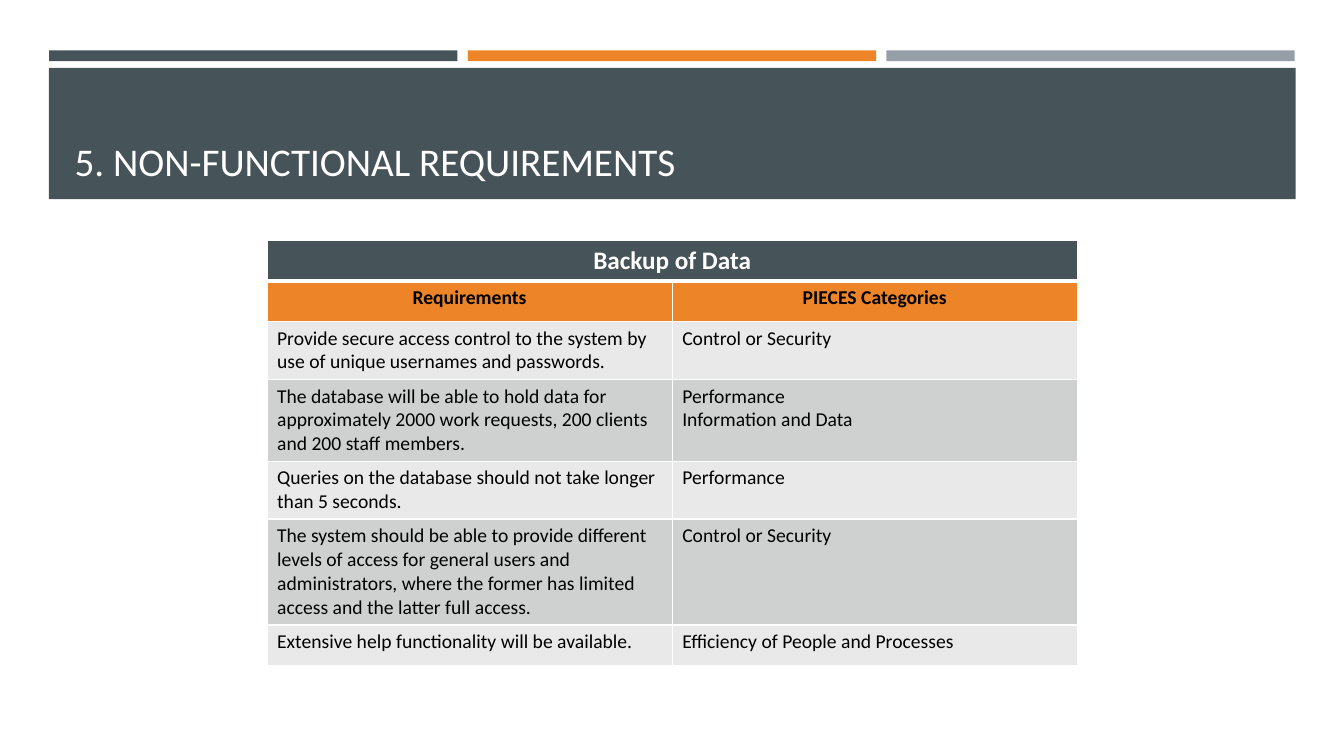
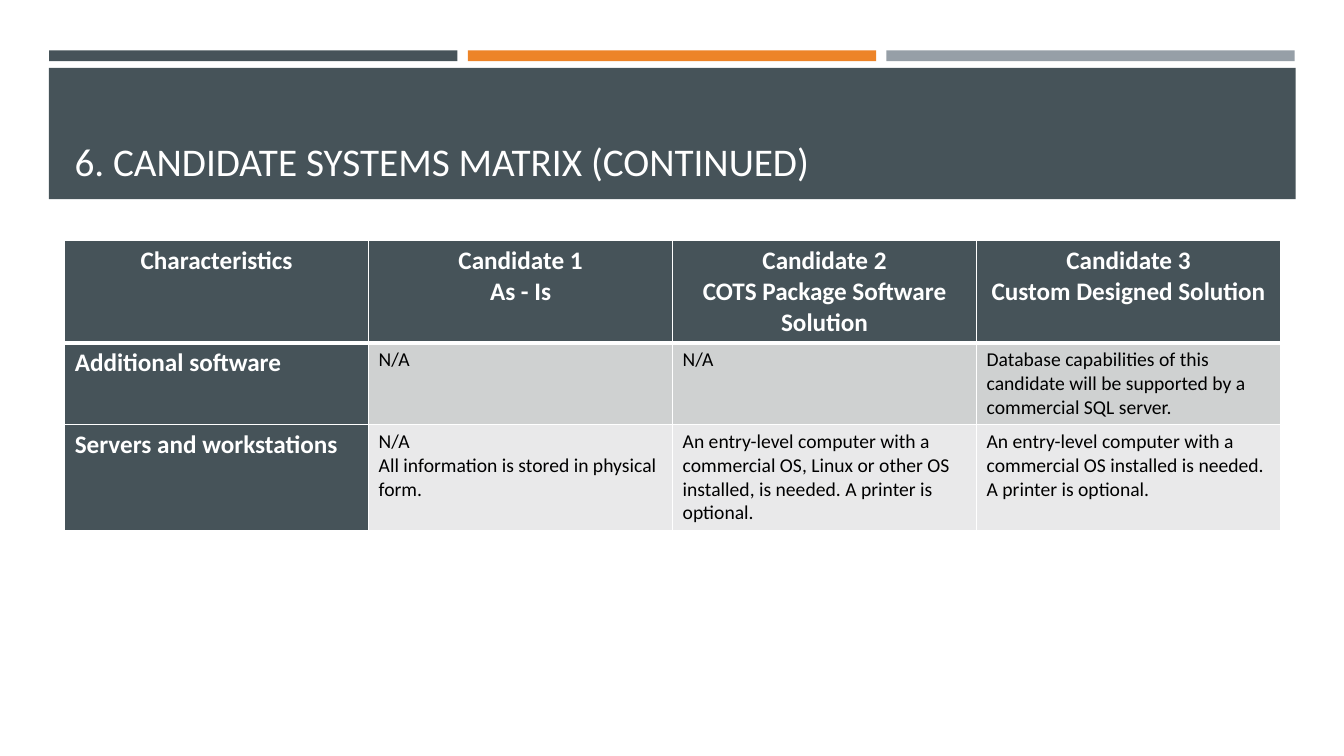
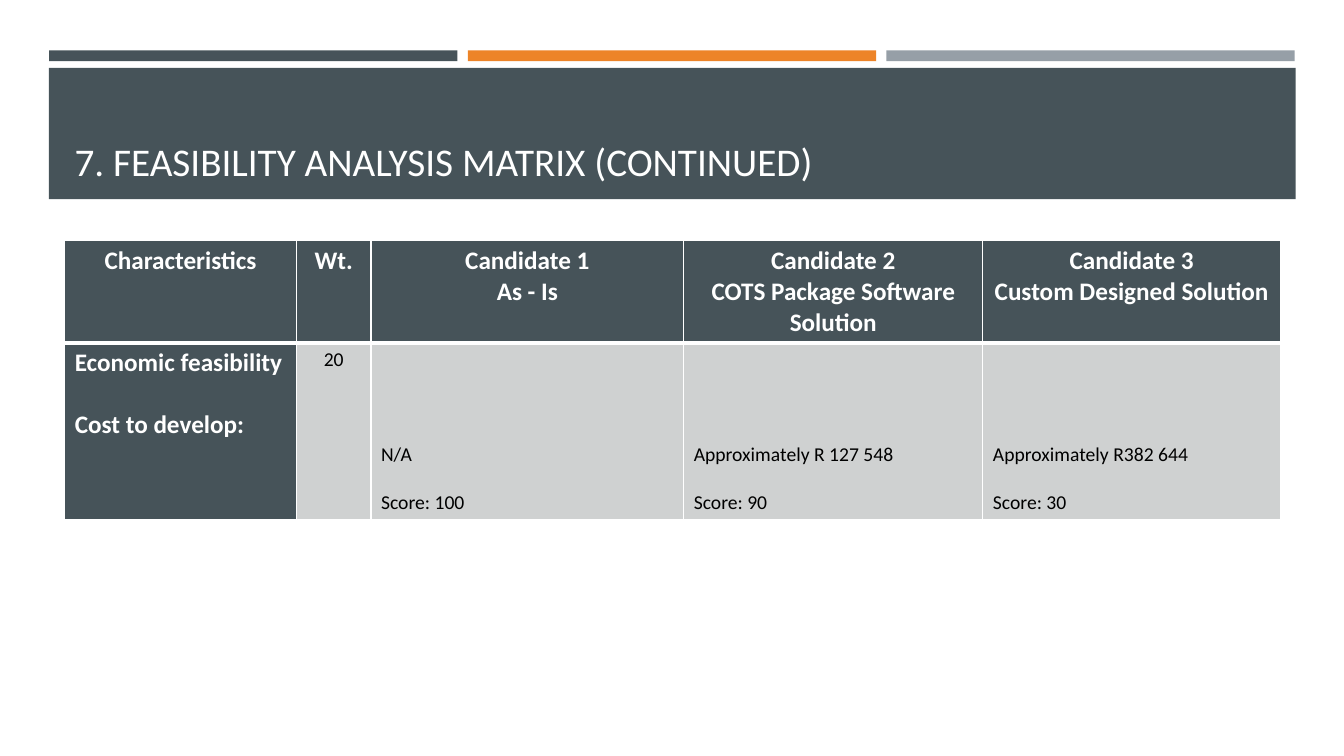
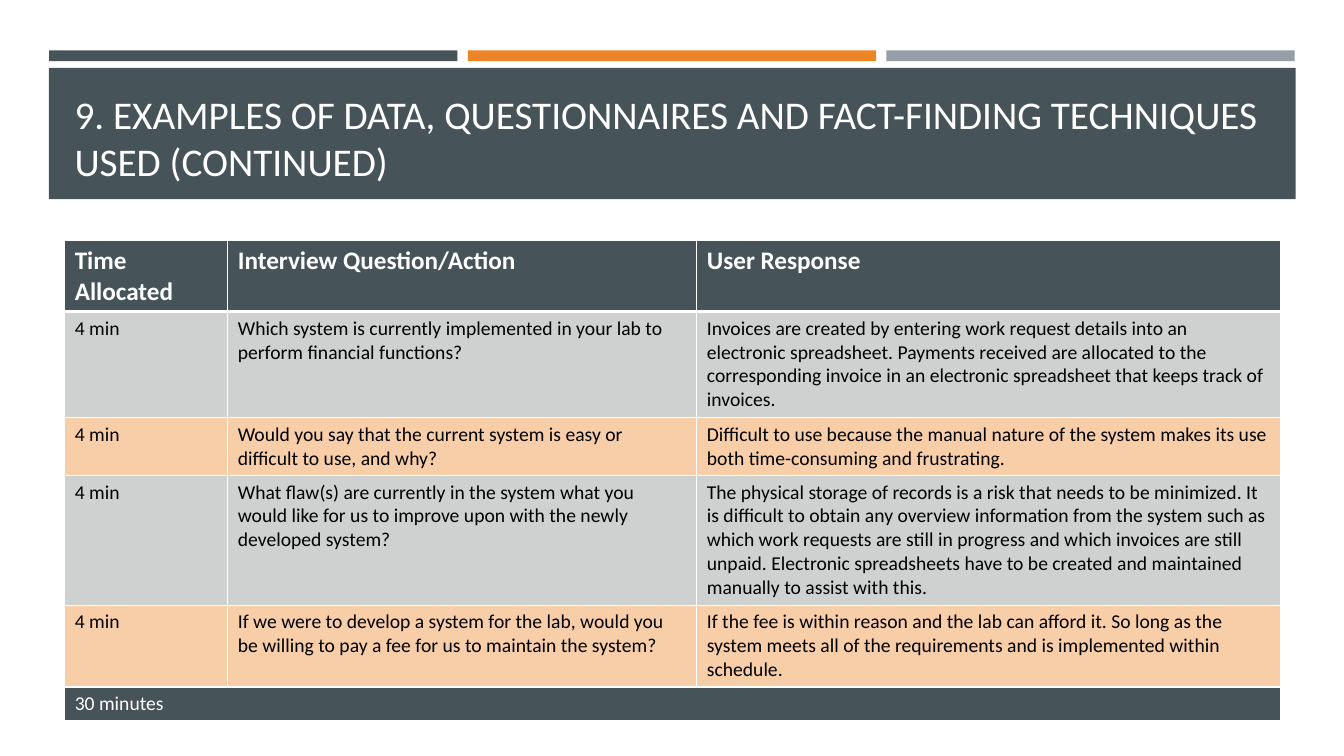
from dataclasses import dataclass

from pptx import Presentation
from pptx.dml.color import RGBColor
from pptx.enum.shapes import MSO_SHAPE as Preset
from pptx.enum.text import MSO_ANCHOR as Anchor, PP_ALIGN as Align
from pptx.oxml.ns import qn
from pptx.util import Cm, Pt
from lxml.etree import SubElement

FONT = "Calibri"
COLORS = {
    "slate": "465359",
    "orange": "ED8428",
    "gray": "969FA7",
    "light": "E9E9EA",
    "medium": "CFD1D1",
    "peach": "F8CEA9",
    "white": "FFFFFF",
    "black": "000000",
}


@dataclass
class CellStyle:
    fill: str
    size: int = 14
    color: str = "black"
    bold: bool = False
    align: Align = Align.LEFT
    anchor: Anchor = Anchor.TOP
    gap: int = 0


STYLES = {
    "header": CellStyle("slate", 18, "white", True, Align.CENTER),
    "left header": CellStyle("slate", 18, "white", True),
    "label": CellStyle("slate", 18, "white", True, gap=22),
    "subheader": CellStyle("orange", bold=True, align=Align.CENTER),
    "light": CellStyle("light"),
    "medium": CellStyle("medium"),
    "peach": CellStyle("peach"),
    "weight": CellStyle("medium", align=Align.CENTER),
    "score": CellStyle("medium", anchor=Anchor.BOTTOM, gap=17),
    "total": CellStyle("slate", color="white"),
}

CANDIDATES = [
    "Candidate 1\nAs - Is",
    "Candidate 2\nCOTS Package Software Solution",
    "Candidate 3\nCustom Designed Solution",
]

SLIDES = [
    {
        "title": "5. NON-FUNCTIONAL REQUIREMENTS",
        "left": 6.73,
        "columns": [10.21, 10.21],
        "rows": [
            (1.02, ["header"], ["Backup of Data"]),
            (1.02, ["subheader"] * 2, ["Requirements", "PIECES Categories"]),
            (1.46, ["light"] * 2, [
                "Provide secure access control to the system by use of unique usernames and passwords.",
                "Control or Security"]),
            (2.06, ["medium"] * 2, [
                "The database will be able to hold data for approximately 2000 work requests, 200 clients and 200 staff members.",
                "Performance\nInformation and Data"]),
            (1.46, ["light"] * 2, [
                "Queries on the database should not take longer than 5 seconds.",
                "Performance"]),
            (2.67, ["medium"] * 2, [
                "The system should be able to provide different levels of access for general users and administrators, where the former has limited access and the latter full access.",
                "Control or Security"]),
            (1.02, ["light"] * 2, [
                "Extensive help functionality will be available.",
                "Efficiency of People and Processes"]),
        ],
    },
    {
        "title": "6. CANDIDATE SYSTEMS MATRIX (CONTINUED)",
        "left": 1.63,
        "columns": [7.66] * 4,
        "rows": [
            (2.58, ["header"] * 4, ["Characteristics"] + CANDIDATES),
            (2.06, ["label"] + ["medium"] * 3, [
                "Additional software", "N/A", "N/A",
                "Database capabilities of this candidate will be supported by a commercial SQL server."]),
            (2.67, ["label"] + ["light"] * 3, [
                "Servers and workstations",
                "N/A\nAll information is stored in physical form.",
                "An entry-level computer with a commercial OS, Linux or other OS installed, is needed. A printer is optional.",
                "An entry-level computer with a commercial OS installed is needed. A printer is optional."]),
        ],
    },
    {
        "title": "7. FEASIBILITY ANALYSIS MATRIX (CONTINUED)",
        "left": 1.63,
        "columns": [5.84, 1.88, 7.88, 7.54, 7.5],
        "rows": [
            (2.58, ["header"] * 5, ["Characteristics", "Wt."] + CANDIDATES),
            (4.45, ["label", "weight"] + ["score"] * 3, [
                "Economic feasibility\nCost to develop:", "20",
                "N/A\nScore: 100",
                "Approximately R 127 548\nScore: 90",
                "Approximately R382 644\nScore: 30"]),
        ],
    },
    {
        "title": "9. EXAMPLES OF DATA, QUESTIONNAIRES AND FACT-FINDING TECHNIQUES USED (CONTINUED)",
        "left": 1.63,
        "columns": [4.11, 11.82, 14.7],
        "rows": [
            (1.79, ["left header"] * 3, ["Time Allocated", "Interview Question/Action", "User Response"]),
            (2.67, ["medium"] * 3, [
                "4 min",
                "Which system is currently implemented in your lab to perform financial functions?",
                "Invoices are created by entering work request details into an electronic spreadsheet. Payments received are allocated to the corresponding invoice in an electronic spreadsheet that keeps track of invoices."]),
            (1.46, ["peach"] * 3, [
                "4 min",
                "Would you say that the current system is easy or difficult to use, and why?",
                "Difficult to use because the manual nature of the system makes its use both time-consuming and frustrating."]),
            (3.27, ["medium"] * 3, [
                "4 min",
                "What flaw(s) are currently in the system what you would like for us to improve upon with the newly developed system?",
                "The physical storage of records is a risk that needs to be minimized. It is difficult to obtain any overview information from the system such as which work requests are still in progress and which invoices are still unpaid. Electronic spreadsheets have to be created and maintained manually to assist with this."]),
            (2.06, ["peach"] * 3, [
                "4 min",
                "If we were to develop a system for the lab, would you be willing to pay a fee for us to maintain the system?",
                "If the fee is within reason and the lab can afford it. So long as the system meets all of the requirements and is implemented within schedule."]),
            (0.83, ["total"], ["30 minutes"]),
        ],
    },
]

BAR_COLORS = ["slate", "orange", "gray"]
BAR_LEFT, BAR_WIDTH, BAR_STEP = 1.24, 10.29, 10.55
TABLE_TOP = 6.06


def rgb(name):
    return RGBColor.from_string(COLORS[name])


def add_band(page, left, top, width, height, color):
    band = page.shapes.add_shape(Preset.RECTANGLE, Cm(left), Cm(top), Cm(width), Cm(height))
    band.shadow.inherit = False
    band.fill.solid()
    band.fill.fore_color.rgb = rgb(color)
    band.line.fill.background()


def add_span(para, text, size, color, bold=False):
    span = para.add_run()
    span.text = text
    span.font.name = FONT
    span.font.size = Pt(size)
    span.font.bold = bold
    span.font.color.rgb = rgb(color)


def add_title(page, text):
    box = page.shapes.add_textbox(Cm(1.63), Cm(1.96), Cm(30.63), Cm(2.82))
    frame = box.text_frame
    frame.word_wrap = True
    frame.vertical_anchor = Anchor.BOTTOM
    add_span(frame.paragraphs[0], text, 28, "white")


def add_frame(page, title):
    for index, color in enumerate(BAR_COLORS):
        add_band(page, BAR_LEFT + index * BAR_STEP, 1.27, BAR_WIDTH, 0.27, color)
    add_band(page, 1.23, 1.71, 31.42, 3.31, "slate")
    add_title(page, title)


def set_borders(cell, row_index):
    widths = {"L": 1, "R": 1, "T": 3 if row_index == 1 else 1, "B": 3 if row_index == 0 else 1}
    properties = cell._tc.get_or_add_tcPr()
    for side, width in widths.items():
        line = SubElement(properties, qn(f"a:ln{side}"), w=str(Pt(width)))
        fill = SubElement(line, qn("a:solidFill"))
        SubElement(fill, qn("a:srgbClr"), val=COLORS["white"])


def fill_cell(cell, text, style):
    cell.vertical_anchor = style.anchor
    frame = cell.text_frame
    for index, line in enumerate(text.split("\n")):
        para = frame.add_paragraph() if index else frame.paragraphs[0]
        para.alignment = style.align
        if index and style.gap:
            para.space_before = Pt(style.gap)
        add_span(para, line, style.size, style.color, style.bold)


def add_matrix(page, left, columns, rows):
    height = sum(row[0] for row in rows)
    table = page.shapes.add_table(
        len(rows), len(columns), Cm(left), Cm(TABLE_TOP), Cm(sum(columns)), Cm(height)).table
    table.horz_banding = False
    for column, width in zip(table.columns, columns):
        column.width = Cm(width)
    for row_index, (row_height, styles, texts) in enumerate(rows):
        table.rows[row_index].height = Cm(row_height)
        cells = [table.cell(row_index, index) for index in range(len(columns))]
        if len(texts) == 1:
            cells[0].merge(cells[-1])
        for index, cell in enumerate(cells):
            style = STYLES[styles[min(index, len(styles) - 1)]]
            set_borders(cell, row_index)
            cell.fill.solid()
            cell.fill.fore_color.rgb = rgb(style.fill)
            if index < len(texts):
                fill_cell(cell, texts[index], style)


def main():
    deck = Presentation()
    deck.slide_width, deck.slide_height = Cm(33.87), Cm(19.05)
    for content in SLIDES:
        page = deck.slides.add_slide(deck.slide_layouts[6])
        add_frame(page, content["title"])
        add_matrix(page, content["left"], content["columns"], content["rows"])
    deck.save("out.pptx")


if __name__ == "__main__":
    main()
